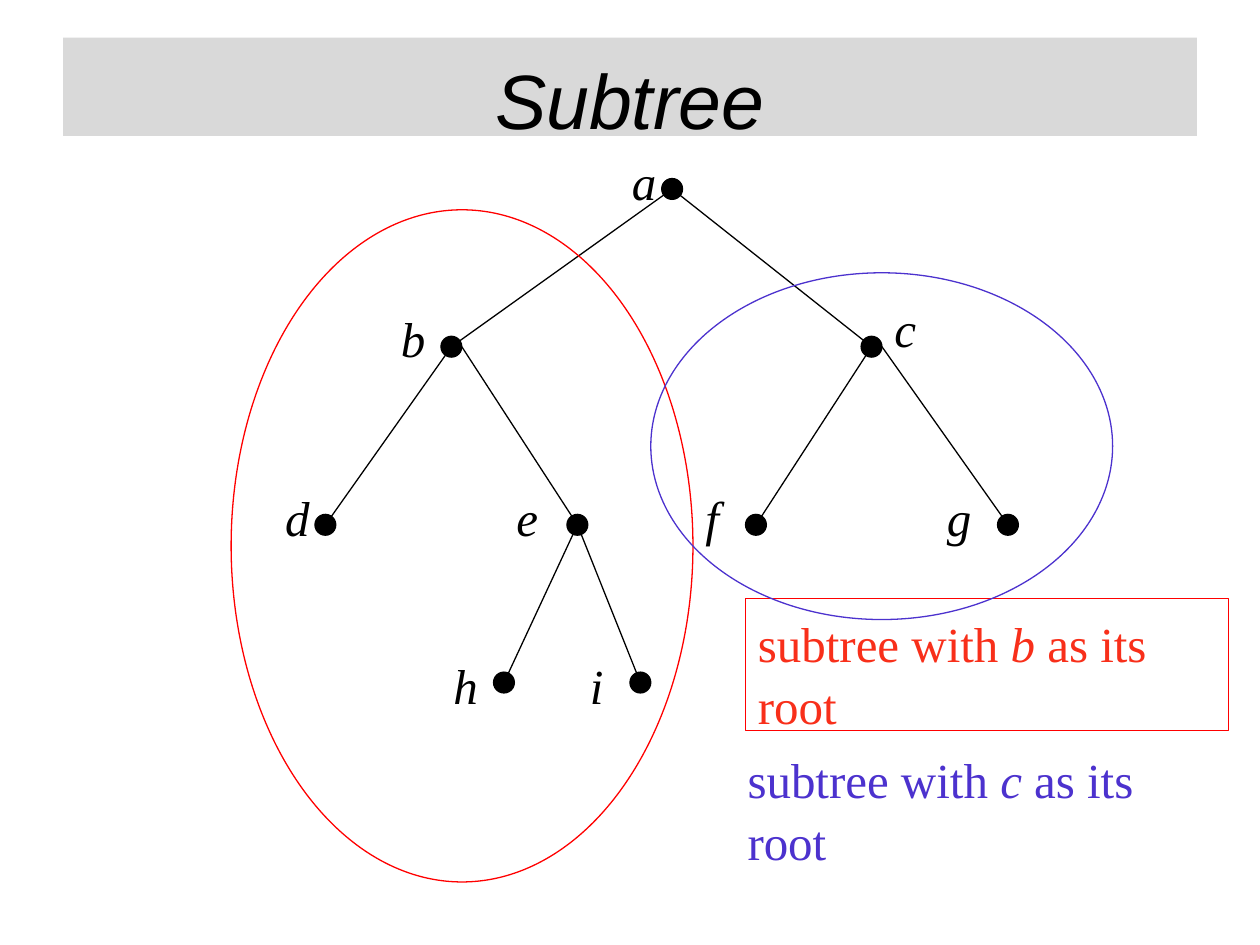
from lxml.etree import SubElement
from pptx import Presentation
from pptx.dml.color import RGBColor
from pptx.enum.shapes import MSO_CONNECTOR as Connector, MSO_SHAPE as Shape
from pptx.enum.text import MSO_ANCHOR as Anchor, MSO_AUTO_SIZE as AutoSize, PP_ALIGN as Align
from pptx.oxml.ns import qn
from pptx.util import Cm, Pt

BLACK, GRAY = "000000", "D9D9D9"
RED, TEXT_RED, BLUE = "FF0000", "F82F1A", "4C32CE"

# Node name: dot centre, label corner (cm)
NODES = {
    "a": ((13.55, 3.81), (12.49, 2.75)),
    "b": ((9.1, 6.99), (7.83, 5.93)),
    "c": ((17.57, 6.99), (17.78, 5.72)),
    "d": ((6.56, 10.58), (5.5, 9.53)),
    "e": ((11.64, 10.58), (10.16, 9.53)),
    "f": ((15.24, 10.58), (13.97, 9.53)),
    "g": ((20.32, 10.58), (18.84, 9.53)),
    "h": ((10.16, 13.76), (8.89, 12.91)),
    "i": ((12.91, 13.76), (11.64, 12.91)),
}
EDGES = ["ab", "ac", "bd", "be", "cf", "cg", "eh", "ei"]
EDGES_FROM_RIM = ["be", "cg"]  # these start at the right rim of the parent dot
DOT = 0.42


def color(value):
    return RGBColor.from_string(value)


def set_all(target, values):
    for name, value in values.items():
        setattr(target, name, value)


class TreeSlide:
    text_font = {"name": "Times New Roman", "size": Pt(28)}
    title_font = {"name": "Arial", "size": Pt(44), "italic": True, "bold": False}
    text_frame = {"word_wrap": True, "auto_size": AutoSize.NONE,
                  "vertical_anchor": Anchor.TOP, "margin_top": Cm(0.24)}
    title_frame = {**text_frame, "margin_top": Cm(0.3), "margin_bottom": 0}
    line_width = Pt(0.75)

    def __init__(self, presentation):
        self.slide = presentation.slides.add_slide(presentation.slide_layouts[5])
        self.shapes = self.slide.shapes

    def title(self, text, left, top, width, height):
        title = self.shapes.title
        set_all(title, {"left": Cm(left), "top": Cm(top),
                        "width": Cm(width), "height": Cm(height)})
        title.fill.solid()
        title.fill.fore_color.rgb = color(GRAY)
        set_all(title.text_frame, self.title_frame)
        paragraph = title.text_frame.paragraphs[0]
        paragraph.alignment = Align.CENTER
        run = paragraph.add_run()
        run.text = text
        set_all(run.font, self.title_font)
        run.font.color.rgb = color(BLACK)

    def ellipse(self, left, top, width, height, line, fill=None):
        shape = self.shapes.add_shape(Shape.OVAL, Cm(left), Cm(top), Cm(width), Cm(height))
        shape.shadow.inherit = False
        if fill:
            shape.fill.solid()
            shape.fill.fore_color.rgb = color(fill)
        else:
            shape.fill.background()
        shape.line.color.rgb = color(line)
        shape.line.width = self.line_width

    def dot(self, x, y):
        self.ellipse(x - DOT / 2, y - DOT / 2, DOT, DOT, BLACK, BLACK)

    def edge(self, start, end):
        line = self.shapes.add_connector(Connector.STRAIGHT, *map(Cm, (*start, *end)))
        line.line.color.rgb = color(BLACK)
        line.line.width = self.line_width
        SubElement(line._element.spPr, qn("a:effectLst"))

    def text(self, runs, left, top, width, height, text_color=BLACK, border=None):
        """Add a text box; runs are (text, italic) pairs."""
        box = self.shapes.add_textbox(Cm(left), Cm(top), Cm(width), Cm(height))
        set_all(box.text_frame, self.text_frame)
        if border:
            box.line.color.rgb = color(border)
            box.line.width = self.line_width
        paragraph = box.text_frame.paragraphs[0]
        paragraph.line_spacing = 1.05
        for text, italic in runs:
            run = paragraph.add_run()
            run.text = text
            set_all(run.font, {**self.text_font, "italic": italic})
            run.font.color.rgb = color(text_color)

    def caption(self, root, *place, **colors):
        runs = [("subtree with ", False), (root, True), (" as its root", False)]
        self.text(runs, *place, **colors)


def main():
    presentation = Presentation()
    set_all(presentation, {"slide_width": Cm(25.4), "slide_height": Cm(19.05)})
    tree = TreeSlide(presentation)
    tree.title("Subtree", 1.27, 0.76, 22.86, 1.98)

    for edge in EDGES:
        parent, child = edge
        (x, y), end = NODES[parent][0], NODES[child][0]
        tree.edge((x + DOT / 2 if edge in EDGES_FROM_RIM else x, y), end)
    for name, (centre, corner) in NODES.items():
        tree.dot(*centre)
        tree.text([(name, True)], *corner, 1.06, 1.45)

    tree.ellipse(4.66, 4.23, 9.31, 13.55, RED)
    tree.caption("b", 15.03, 12.07, 9.74, 2.66, text_color=TEXT_RED, border=RED)
    tree.caption("c", 14.82, 14.82, 9.74, 2.62, text_color=BLUE)
    tree.ellipse(13.12, 5.5, 9.31, 6.99, BLUE)

    presentation.save("out.pptx")


if __name__ == "__main__":
    main()
